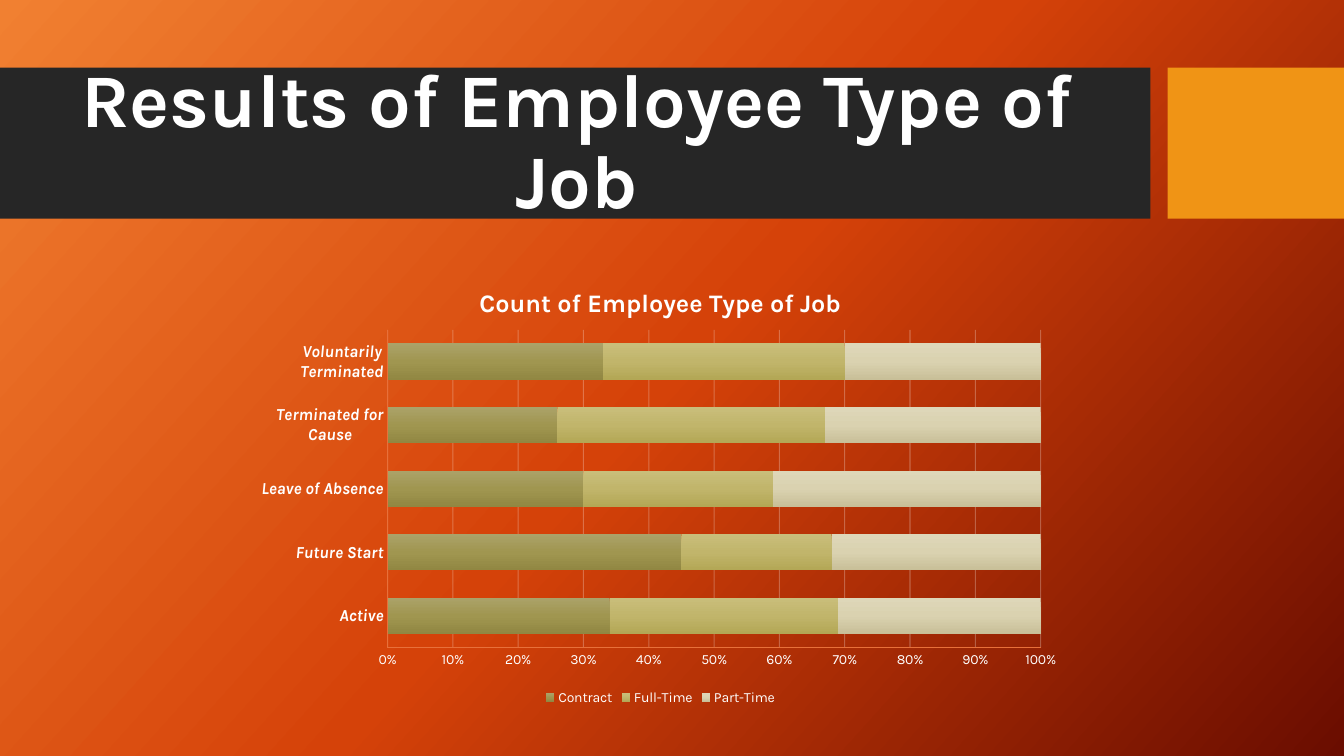
from dataclasses import dataclass

from lxml import etree
from pptx import Presentation
from pptx import util as u
from pptx.chart.data import CategoryChartData
from pptx.dml.color import RGBColor
from pptx.enum import chart as ch, shapes, text
from pptx.oxml import parse_xml
from pptx.oxml.ns import nsdecls, qn


@dataclass(frozen=True)
class Theme:
    font: str = "Karla"
    white: str = "FFFFFF"
    band: str = "262626"
    accent: str = "F09415"
    axis: str = "E8703A"
    background: tuple = ((0, "F18031"), (50, "D54209"), (100, "6A0D00"))
    series: tuple = (
        ((0, "ABA269"), (50, "A09650"), (100, "918742")),
        ((0, "C9BE7B"), (50, "C1B56B"), (100, "B3A755")),
        ((0, "DED7B9"), (50, "DAD2B0"), (100, "C8BF98")),
    )
    title_size: int = 54
    chart_title_size: int = 18
    category_size: int = 12
    label_size: int = 10


theme = Theme()


def set_font(font, size, bold=False, italic=False):
    font.name = theme.font
    font.size = u.Pt(size)
    font.bold = bold
    font.italic = italic
    font.color.rgb = RGBColor.from_string(theme.white)


def set_gradient(fill, owner, stops, angle):
    """Fill with (percent, colour) stops at a clockwise angle; owner is the XML element holding the fill."""
    fill.gradient()
    fill.gradient_angle = 360 - angle
    stop_list = owner.find(".//" + qn("a:gsLst"))
    for old_stop in list(stop_list):
        stop_list.remove(old_stop)
    for percent, colour in stops:
        stop = etree.SubElement(stop_list, qn("a:gs"), pos=str(percent * 1000))
        etree.SubElement(stop, qn("a:srgbClr"), val=colour)


prs = Presentation()
prs.slide_width, prs.slide_height = u.Inches(13.33), u.Inches(7.5)
slide = prs.slides.add_slide(prs.slide_layouts[6])
set_gradient(slide.background.fill, slide.element, theme.background, 42)

# Title band
for left, width, colour in ((0, 11.41, theme.band), (11.58, 1.75, theme.accent)):
    band = slide.shapes.add_shape(
        shapes.MSO_SHAPE.RECTANGLE,
        u.Inches(left), u.Inches(0.67), u.Inches(width), u.Inches(1.5))
    band.shadow.inherit = False
    band.fill.solid()
    band.fill.fore_color.rgb = RGBColor.from_string(colour)
    band.line.fill.background()

title = slide.shapes.add_textbox(
    u.Inches(0.18), u.Inches(0.82), u.Inches(11.08), u.Inches(1.21)).text_frame
title.text = "Results of Employee Type of Job"
title.word_wrap = True
title.vertical_anchor = text.MSO_ANCHOR.MIDDLE
heading = title.paragraphs[0]
heading.alignment = text.PP_ALIGN.CENTER
heading.line_spacing = 0.9
set_font(heading.runs[0].font, theme.title_size, bold=True)

# Employee type by status
data = CategoryChartData()
data.categories = ["Active", "Future Start", "Leave of Absence",
                   "Terminated for Cause", "Voluntarily Terminated"]
data.add_series("Contract", (34, 45, 30, 26, 33))
data.add_series("Full-Time", (35, 23, 29, 41, 37))
data.add_series("Part-Time", (31, 32, 41, 33, 30))
chart = slide.shapes.add_chart(
    ch.XL_CHART_TYPE.BAR_STACKED_100,
    u.Inches(2.45), u.Inches(2.66), u.Inches(8.2), u.Inches(4.38), data).chart
set_font(chart.font, theme.label_size)

chart.has_title = True
chart.chart_title.include_in_layout = False
chart.chart_title.text_frame.text = "Count of Employee Type of Job"
set_font(chart.chart_title.text_frame.paragraphs[0].runs[0].font,
         theme.chart_title_size, bold=True)

chart.has_legend = True
chart.legend.position = ch.XL_LEGEND_POSITION.BOTTOM
chart.legend.include_in_layout = False
set_font(chart.legend.font, theme.label_size)

bars = chart.plots[0]
bars.gap_width = 75
bars.overlap = 100
bars.vary_by_categories = False
for series, stops in zip(bars.series, theme.series):
    set_gradient(series.format.fill, series.format.fill and series._element, stops, 90)

statuses, shares = chart.category_axis, chart.value_axis
for axis in (statuses, shares):
    axis.major_tick_mark = axis.minor_tick_mark = ch.XL_TICK_MARK.NONE
set_font(statuses.tick_labels.font, theme.category_size, bold=True, italic=True)
statuses.format.line.color.rgb = RGBColor.from_string(theme.axis)
set_font(shares.tick_labels.font, theme.label_size)
shares.tick_labels.number_format = "0%"
shares.tick_labels.number_format_is_linked = False
shares.minimum_scale, shares.maximum_scale, shares.major_unit = 0, 1, 0.1
shares.format.line.color.rgb = RGBColor.from_string(theme.axis)
shares.has_major_gridlines = True
grid = shares.major_gridlines.format.line
grid.width = u.Pt(0.75)
grid.color.rgb = RGBColor.from_string(theme.white)
grid_colour = shares.major_gridlines._xAx.find(
    ".//" + qn("c:majorGridlines")).find(".//" + qn("a:srgbClr"))
etree.SubElement(grid_colour, qn("a:alpha"), val="25000")

# Fixed inner plot area, as fractions of the chart
plot_area = chart.element.find(".//" + qn("c:plotArea"))
for old_layout in plot_area.findall(qn("c:layout")):
    plot_area.remove(old_layout)
plot_area.insert(0, parse_xml(
    f'<c:layout {nsdecls("c")}><c:manualLayout><c:layoutTarget val="inner"/>'
    '<c:xMode val="edge"/><c:yMode val="edge"/>'
    '<c:x val="0.17"/><c:y val="0.14"/><c:w val="0.79"/><c:h val="0.72"/>'
    '</c:manualLayout></c:layout>'))

prs.save("out.pptx")
